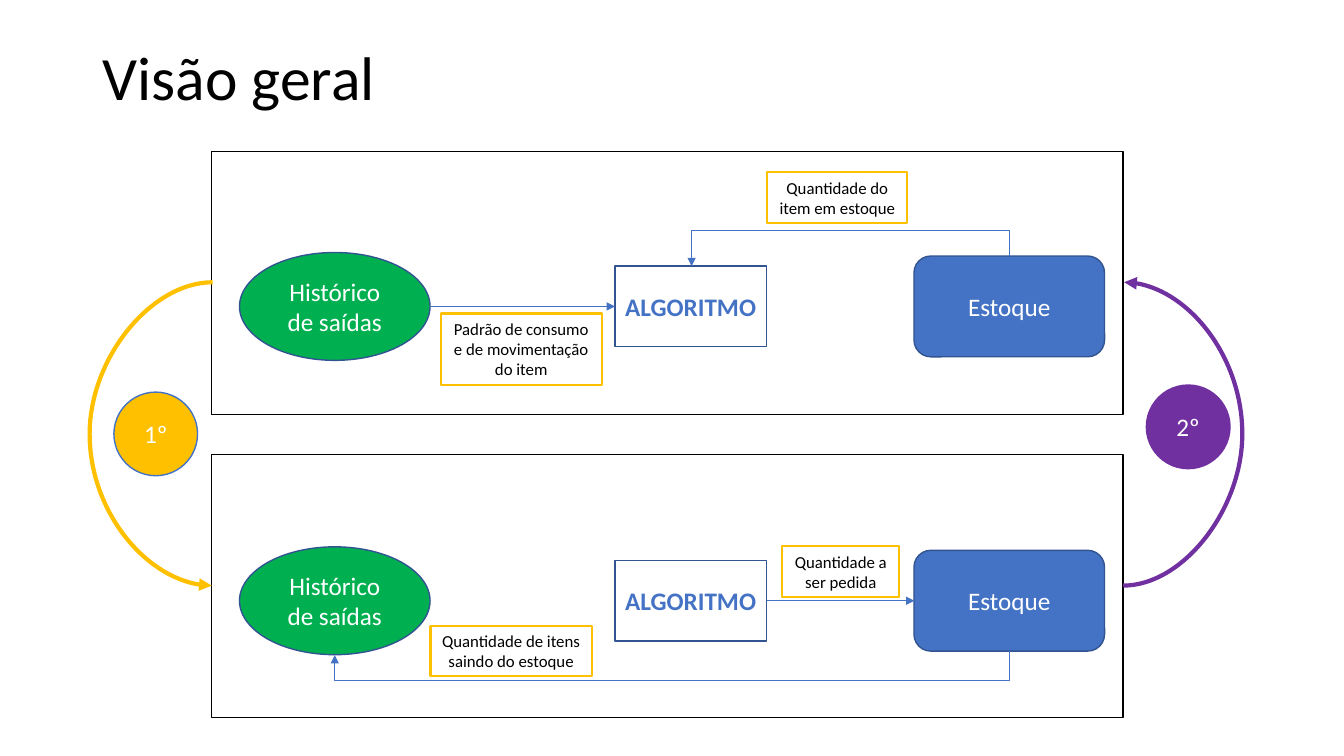
from dataclasses import dataclass
from lxml import etree
from pptx import Presentation
from pptx.dml.color import RGBColor
from pptx.enum.shapes import MSO_CONNECTOR, MSO_SHAPE
from pptx.enum.text import MSO_ANCHOR, PP_ALIGN
from pptx.oxml.ns import qn
from pptx.util import Inches, Pt


@dataclass(frozen=True)
class Theme:
    font: str = "Calibri"
    black: str = "000000"
    white: str = "FFFFFF"
    blue: str = "4472C4"
    outline: str = "325491"
    green: str = "00B050"
    amber: str = "FFC000"
    purple: str = "7030A0"
    title_size: int = 44
    node_size: int = 18
    label_size: int = 12


T = Theme()
TITLE = "Visão geral"
NODES = [
    ("Estoque", MSO_SHAPE.ROUNDED_RECTANGLE, 10.01, 1.89, 1.0, T.blue, T.white, False),
    ("Histórico de saídas", MSO_SHAPE.OVAL, 3.32, 1.89, 1.07, T.green, T.white, False),
    ("ALGORITMO", MSO_SHAPE.RECTANGLE, 6.85, 1.5, 0.8, T.white, T.blue, True),
]
STAGES = [
    dict(
        frame_top=1.5, middle=3.04,
        labels=[
            ("Quantidade do item em estoque", 7.61, 1.71, 1.39, 0.5),
            ("Padrão de consumo e de movimentação do item", 4.37, 3.11, 1.6, 0.71),
        ],
        straight=(4.27, 6.1),
        elbow=((10.01, 2.54), (6.86, 2.64), 2.29),
    ),
    dict(
        frame_top=4.51, middle=5.96,
        labels=[
            ("Quantidade a ser pedida", 7.76, 5.42, 1.16, 0.5),
            ("Quantidade de itens saindo do estoque", 4.27, 6.21, 1.6, 0.5),
        ],
        straight=(7.61, 9.07),
        elbow=((10.01, 6.46), (3.32, 6.5), 6.75),
    ),
]
FRAME_LEFT, FRAME_WIDTH, FRAME_HEIGHT = 2.1, 9.04, 2.61
BADGE = 0.83
STEPS = [
    ("1º", 1.13, 3.89, T.amber, T.blue),
    ("2º", 11.37, 3.82, T.purple, T.purple),
]
LOOPS = [
    ((11.14, 5.81), (11.15, 2.8), 12.34, T.purple),
    ((2.11, 2.8), (2.1, 5.81), 0.87, T.amber),
]


def write(shape, text, size, color, bold=False, align=PP_ALIGN.CENTER, anchor=MSO_ANCHOR.MIDDLE):
    frame = shape.text_frame
    frame.word_wrap = True
    frame.vertical_anchor = anchor
    paragraph = frame.paragraphs[0]
    paragraph.alignment = align
    run = paragraph.add_run()
    run.text = text
    run.font.name, run.font.size, run.font.bold = T.font, Pt(size), bold
    run.font.color.rgb = RGBColor.from_string(color)
    return paragraph


def add_box(shapes, kind, left, top, width, height, line, weight=1, fill=None):
    box = shapes.add_shape(kind, Inches(left), Inches(top), Inches(width), Inches(height))
    box.shadow.inherit = False
    if fill:
        box.fill.solid()
        box.fill.fore_color.rgb = RGBColor.from_string(fill)
    else:
        box.fill.background()
    box.line.color.rgb = RGBColor.from_string(line)
    box.line.width = Pt(weight)
    return box


def add_arrow(shapes, kind, start, end, color, weight, bend=None, rotation=0):
    arrow = shapes.add_connector(kind, *(Inches(v) for v in (*start, *end)))
    arrow.line.color.rgb = RGBColor.from_string(color)
    arrow.line.width = Pt(weight)
    properties = arrow._element.spPr
    etree.SubElement(properties.find(qn("a:ln")), qn("a:tailEnd"), type="triangle")
    etree.SubElement(properties, qn("a:effectLst"))
    if rotation:
        properties.find(qn("a:xfrm")).set("rot", str(rotation * 60000))
    if bend is not None:
        geometry = properties.find(qn("a:prstGeom"))
        adjustments = geometry.find(qn("a:avLst"))
        if adjustments is None:
            adjustments = etree.SubElement(geometry, qn("a:avLst"))
        etree.SubElement(adjustments, qn("a:gd"), name="adj1", fmla=f"val {round(bend * 100000)}")


def add_vertical_elbow(shapes, start, end, turn_y):
    (x1, y1), (x2, y2) = start, end
    center_x, center_y = (x1 + x2) / 2, (y1 + y2) / 2
    half_w, half_h = (y2 - y1) / 2, (x1 - x2) / 2
    add_arrow(
        shapes, MSO_CONNECTOR.ELBOW,
        (center_x - half_w, center_y - half_h), (center_x + half_w, center_y + half_h),
        T.blue, 0.5, bend=(turn_y - y1) / (y2 - y1), rotation=90,
    )


def add_stage(slide, stage):
    shapes = slide.shapes.add_group_shape().shapes
    middle = stage["middle"]
    for text, kind, center, width, height, fill, color, bold in NODES:
        node = add_box(shapes, kind, center - width / 2, middle - height / 2,
                       width, height, T.outline, fill=fill)
        write(node, text, T.node_size, color, bold)
    for text, *place in stage["labels"]:
        label = add_box(shapes, MSO_SHAPE.RECTANGLE, *place, T.amber, 1.5)
        write(label, text, T.label_size, T.black, anchor=MSO_ANCHOR.TOP)
    x1, x2 = stage["straight"]
    add_arrow(shapes, MSO_CONNECTOR.STRAIGHT, (x1, middle), (x2, middle), T.blue, 0.5)
    add_vertical_elbow(shapes, *stage["elbow"])
    add_box(shapes, MSO_SHAPE.RECTANGLE, FRAME_LEFT, stage["frame_top"],
            FRAME_WIDTH, FRAME_HEIGHT, T.black)


prs = Presentation()
prs.slide_width, prs.slide_height = Inches(13.33), Inches(7.5)
slide = prs.slides.add_slide(prs.slide_layouts[6])

title = slide.shapes.add_textbox(Inches(0.92), Inches(0.07), Inches(11.5), Inches(1.45))
write(title, TITLE, T.title_size, T.black, align=PP_ALIGN.LEFT).line_spacing = 0.9

for stage in STAGES:
    add_stage(slide, stage)

for text, left, top, fill, line in STEPS:
    badge = add_box(slide.shapes, MSO_SHAPE.OVAL, left, top, BADGE, BADGE, line, fill=fill)
    write(badge, text, T.node_size, T.white)

for start, end, turn_x, color in LOOPS:
    bend = (turn_x - start[0]) / (end[0] - start[0])
    add_arrow(slide.shapes, MSO_CONNECTOR.CURVE, start, end, color, 3, bend=bend)

prs.save("out.pptx")
